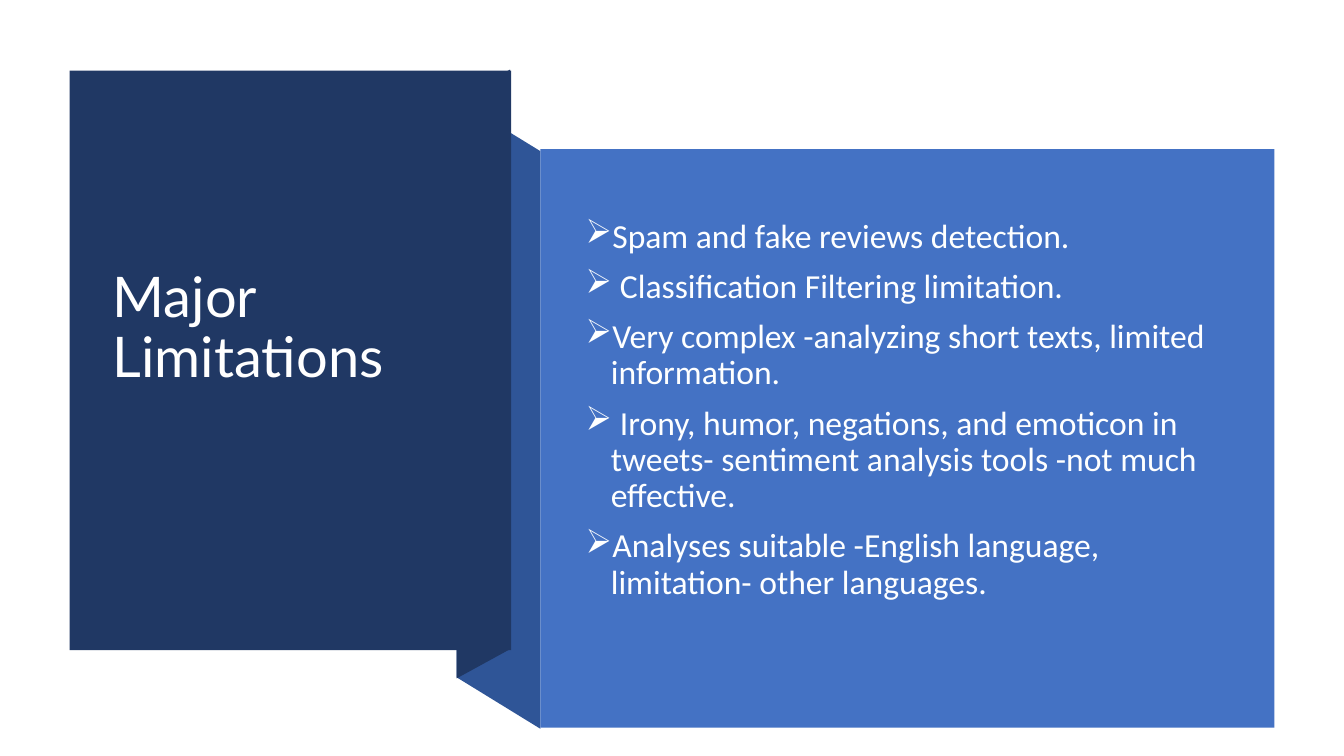
from lxml import etree
from pptx import Presentation
from pptx.dml.color import RGBColor
from pptx.enum.shapes import MSO_SHAPE
from pptx.enum.text import MSO_ANCHOR
from pptx.oxml.ns import qn
from pptx.util import Inches, Pt

RECT = MSO_SHAPE.RECTANGLE
MIDDLE = MSO_ANCHOR.MIDDLE

# Content
TITLE = ["Major Limitations"]
POINTS = [
    "Spam and fake reviews detection.",
    " Classification Filtering limitation.",
    "Very complex -analyzing short texts, limited information.",
    " Irony, humor, negations, and emoticon in tweets- sentiment analysis tools -not much effective.",
    "Analyses suitable -English language, limitation- other languages.",
]

THEME = {
    "navy": "203864", "fold": "2F5597", "blue": "4472C4",
    "title": ("Lato", 40, "FFFFFF"),
    "body": ("Calibri", 24, "FEFFFF"),
    "bullet": "➢", "indent": 0.25, "gap": 10, "line": 0.9,
}

# Layout in inches: left, top, width, height
CARD = (0.69, 0.7, 4.38, 5.75)
PANEL = (5.36, 1.48, 7.28, 5.74)
TITLE_BOX = (1.02, 1.07, 3.71, 4.39)
BODY_BOX = (5.71, 1.95, 6.51, 4.24)
CREASE = 4.53  # left edge shared by both folds
FOLDS = [
    ("fold", [(5.36, 7.23), (CREASE, 6.72), (CREASE, 0.99), (5.36, 1.5)]),
    ("navy", [(5.06, 6.44), (CREASE, 6.73), (CREASE, 0.98), (5.06, 0.69)]),
]


def paint(shape, tone):
    shape.shadow.inherit = False
    shape.fill.solid()
    shape.fill.fore_color.rgb = RGBColor.from_string(THEME[tone])
    shape.line.fill.background()


def add_fold(slide, tone, points):
    pen = slide.shapes.build_freeform(*map(Inches, points[0]))
    pen.add_line_segments([(Inches(x), Inches(y)) for x, y in points[1:]])
    paint(pen.convert_to_shape(), tone)


def add_block(slide, box, tone):
    paint(slide.shapes.add_shape(RECT, *map(Inches, box)), tone)


def add_bullet(para):
    props = para._p.get_or_add_pPr()
    step = Inches(THEME["indent"])
    props.set("marL", str(step))
    props.set("indent", str(-step))
    etree.SubElement(props, qn("a:buChar")).set("char", THEME["bullet"])


def add_text(slide, box, lines, style, listed=False):
    face, size, tone = THEME[style]
    frame = slide.shapes.add_textbox(*map(Inches, box)).text_frame
    frame.word_wrap = True
    frame.vertical_anchor = MIDDLE
    for i, line in enumerate(lines):
        para = frame.add_paragraph() if i else frame.paragraphs[0]
        para.text = line
        if listed:
            add_bullet(para)
        para.line_spacing = THEME["line"]
        if i:
            para.space_before = Pt(THEME["gap"])
        for run in para.runs:
            run.font.name = face
            run.font.size = Pt(size)
            run.font.color.rgb = RGBColor.from_string(tone)


def main():
    deck = Presentation()
    deck.slide_width, deck.slide_height = Inches(13.33), Inches(7.5)
    slide = deck.slides.add_slide(deck.slide_layouts[6])

    # Folded ribbon behind the title card
    for tone, points in FOLDS:
        add_fold(slide, tone, points)

    # Title card
    add_block(slide, CARD, "navy")
    add_text(slide, TITLE_BOX, TITLE, "title")

    # Limitations panel
    add_block(slide, PANEL, "blue")
    add_text(slide, BODY_BOX, POINTS, "body", listed=True)

    deck.save("out.pptx")


if __name__ == "__main__":
    main()
